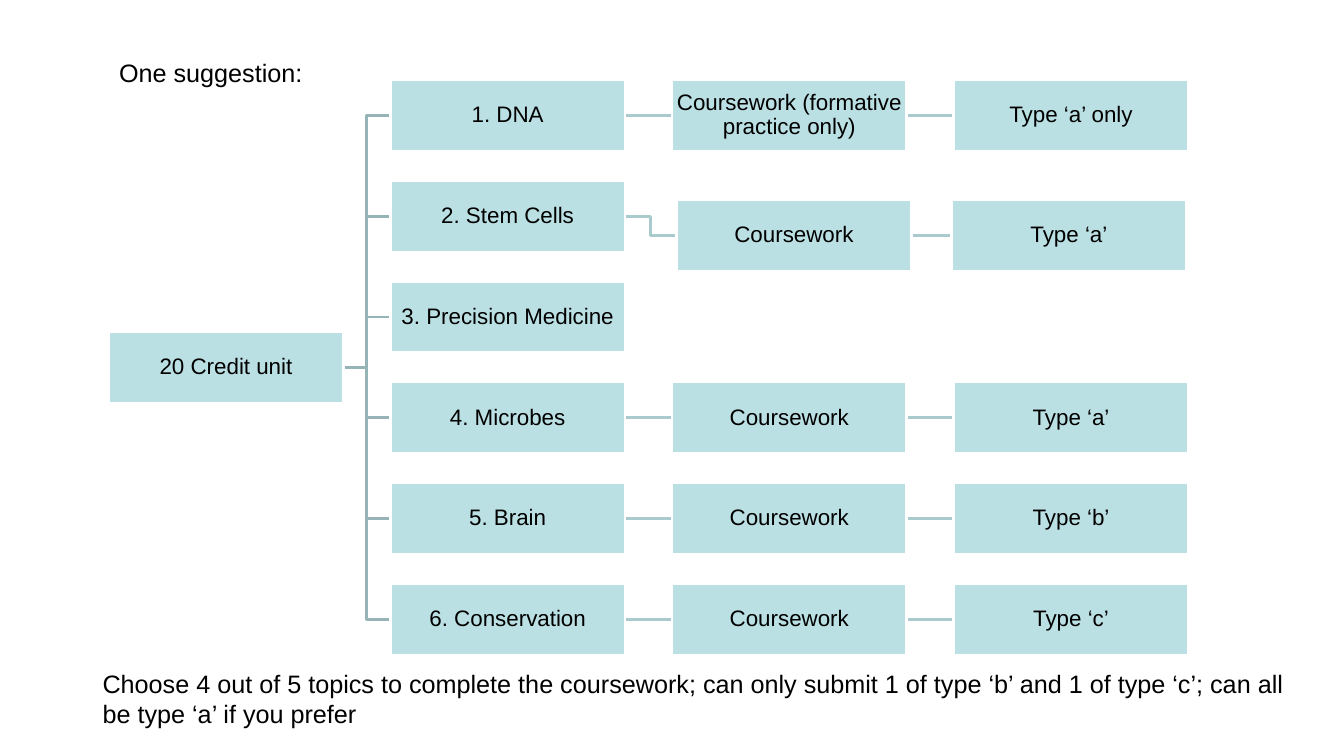
from lxml import etree
from pptx import Presentation
from pptx.dml.color import RGBColor
from pptx.enum import shapes, text
from pptx.oxml import ns
from pptx.util import Pt

WHITE = RGBColor(0xFF, 0xFF, 0xFF)
BLACK = RGBColor(0x00, 0x00, 0x00)
BOX_FILL = RGBColor(0xBB, 0xE0, 0xE3)
BRANCH_LINE = RGBColor(0x96, 0xB3, 0xB6)
LINK_LINE = RGBColor(0xAA, 0xCB, 0xCE)

LEFT, TOP = 77.6, 56.9
COLUMN_STEP, ROW_STEP = 201.2, 72
BOX_W, BOX_H = 167.7, 51.1

TOPICS = [
    ("1. DNA", "Coursework (formative practice only)", "Type ‘a’ only"),
    ("2. Stem Cells", "Coursework", "Type ‘a’"),
    ("3. Precision Medicine",),
    ("4. Microbes", "Coursework", "Type ‘a’"),
    ("5. Brain", "Coursework", "Type ‘b’"),
    ("6. Conservation", "Coursework", "Type ‘c’"),
]
# Small moves of single boxes off the grid: (row, column) -> (right, down)
SHIFTS = {(1, 2): (3.3, 13.7), (1, 3): (-1.5, 13.7)}


class Diagram:
    def __init__(self, s, font="Arial", line_width=2):
        self.s = s
        self.font = font
        self.line_width = Pt(line_width)

    def set_text(self, sp, content, size, align):
        tf = sp.text_frame
        tf.text = content
        p = tf.paragraphs[0]
        p.alignment = align
        font = p.runs[0].font
        font.name, font.size, font.color.rgb = self.font, Pt(size), BLACK
        return tf

    def label(self, sp, content, left, top, width, height, wrap):
        sp.left, sp.top, sp.width, sp.height = map(Pt, (left, top, width, height))
        tf = self.set_text(sp, content, 18, text.PP_ALIGN.LEFT)
        tf.word_wrap = wrap
        tf.vertical_anchor = text.MSO_ANCHOR.TOP
        tf.auto_size = text.MSO_AUTO_SIZE.SHAPE_TO_FIT_TEXT
        tf.margin_left = tf.margin_right = Pt(7.2)
        tf.margin_top = tf.margin_bottom = Pt(3.6)
        tf.paragraphs[0].line_spacing = 1.0

    def title(self, content, *place):
        self.label(self.s.shapes.title, content, *place, wrap=False)

    def note(self, content, *place):
        sp = self.s.shapes.add_textbox(*map(Pt, place))
        self.label(sp, content, *place, wrap=True)

    def box(self, content, row, column):
        right, down = SHIFTS.get((row, column), (0, 0))
        sp = self.s.shapes.add_shape(
            shapes.MSO_SHAPE.RECTANGLE,
            Pt(LEFT + column * COLUMN_STEP + right),
            Pt(TOP + row * ROW_STEP + down), Pt(BOX_W), Pt(BOX_H))
        sp.shadow.inherit = False
        sp.fill.solid()
        sp.fill.fore_color.rgb = BOX_FILL
        sp.line.color.rgb = WHITE
        sp.line.width = self.line_width
        tf = self.set_text(sp, content, 16, text.PP_ALIGN.CENTER)
        tf.word_wrap = True
        tf.vertical_anchor = text.MSO_ANCHOR.MIDDLE
        tf.margin_left = tf.margin_right = tf.margin_top = tf.margin_bottom = Pt(0.8)
        tf.paragraphs[0].line_spacing = 0.9
        return sp

    def connect(self, start, end, color):
        """Join two boxes side to side, behind them, with a bend if they are not level."""
        kinds = shapes.MSO_CONNECTOR
        kind = kinds.STRAIGHT if start.top == end.top else kinds.ELBOW
        line = self.s.shapes.add_connector(kind, 0, 0, 0, 0)
        line.begin_connect(start, 3)
        line.end_connect(end, 1)
        line.line.color.rgb = color
        line.line.width = self.line_width
        etree.SubElement(line._element.spPr, ns.qn("a:effectLst"))
        self.s.shapes._spTree.insert(2, line._element)


def main():
    prs = Presentation()
    prs.slide_width, prs.slide_height = Pt(960), Pt(540)
    diagram = Diagram(prs.slides.add_slide(prs.slide_layouts[5]))

    diagram.title("One suggestion:", 77.8, 37.4, 146.9, 28.8)
    unit = diagram.box("20 Credit unit", (len(TOPICS) - 1) / 2, 0)
    for row, labels in enumerate(TOPICS):
        previous, color = unit, BRANCH_LINE
        for column, content in enumerate(labels, 1):
            sp = diagram.box(content, row, column)
            diagram.connect(previous, sp, color)
            previous, color = sp, LINK_LINE
    diagram.note(
        "Choose 4 out of 5 topics to complete the coursework; can only submit "
        "1 of type ‘b’ and 1 of type ‘c’; can all be type ‘a’ if you prefer",
        66.2, 473.8, 861.8, 51.1)
    prs.save("out.pptx")


if __name__ == "__main__":
    main()
